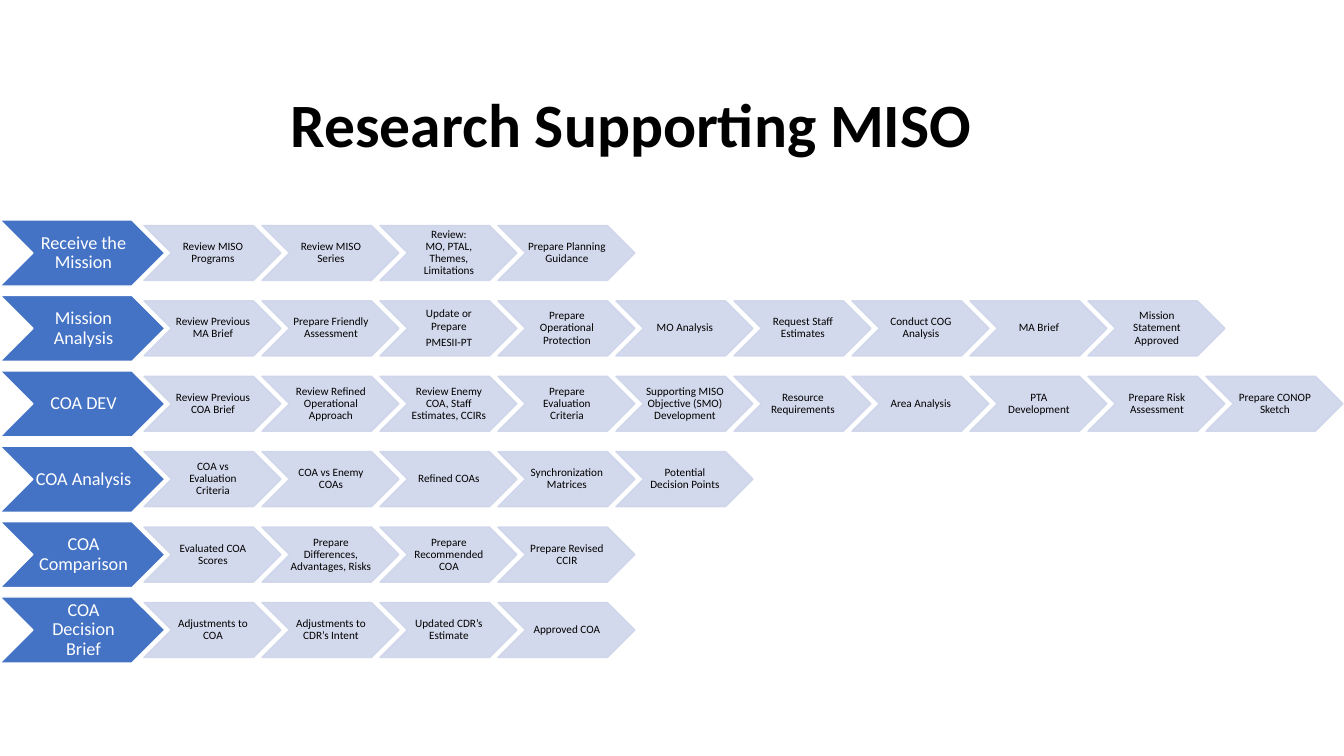
from pptx import Presentation
from pptx.dml.color import RGBColor
from pptx.enum.shapes import MSO_SHAPE
from pptx.enum.text import MSO_ANCHOR, PP_ALIGN
from pptx.oxml.ns import qn
from pptx.util import Emu, Pt

EMU_PER_PX = 914400 / 100.8
FONT = "Calibri"
PHASE_W, PHASE_H = 165, 66
STEP_W, STEP_H = 137, 55
STEP_LEFT, STEP_PITCH = 144, 118

PHASES = [
    ("Receive the Mission", [
        "Review MISO Programs", "Review MISO Series",
        "Review:\vMO, PTAL, Themes, Limitations", "Prepare Planning Guidance"]),
    ("Mission Analysis", [
        "Review Previous MA Brief", "Prepare Friendly Assessment",
        "Update or Prepare\nPMESII-PT", "Prepare Operational Protection",
        "MO Analysis", "Request Staff Estimates", "Conduct COG Analysis",
        "MA Brief", "Mission Statement Approved"]),
    ("COA DEV", [
        "Review Previous COA Brief", "Review Refined Operational Approach",
        "Review Enemy COA, Staff Estimates, CCIRs",
        "Prepare Evaluation Criteria",
        "Supporting MISO Objective (SMO) Development",
        "Resource Requirements", "Area Analysis", "PTA Development",
        "Prepare Risk Assessment", "Prepare CONOP Sketch"]),
    ("COA Analysis", [
        "COA vs Evaluation Criteria", "COA vs Enemy COAs", "Refined COAs",
        "Synchronization Matrices", "Potential Decision Points"]),
    ("COA Comparison", [
        "Evaluated COA Scores", "Prepare Differences, Advantages, Risks",
        "Prepare Recommended COA", "Prepare Revised CCIR"]),
    ("COA Decision Brief", [
        "Adjustments to COA", "Adjustments to CDR’s Intent",
        "Updated CDR’s Estimate", "Approved COA"]),
]


def px(n):
    return Emu(round(n * EMU_PER_PX))


def color(hex_string):
    return RGBColor.from_string(hex_string)


def write(sp, text, size, hex_string, bold=False):
    tf = sp.text_frame
    tf.word_wrap = True
    tf.vertical_anchor = MSO_ANCHOR.MIDDLE
    tf.text = text
    for p in tf.paragraphs:
        p.alignment = PP_ALIGN.CENTER
        p.line_spacing = 0.9
        p.space_after = Pt(size * 0.35)
        for r in p.runs:
            r.font.name = FONT
            r.font.size = Pt(size)
            r.font.bold = bold
            r.font.color.rgb = color(hex_string)


def add_title(s, x, y, w, h):
    sp = s.shapes.add_textbox(px(x), px(y), px(w), px(h))
    write(sp, "Research Supporting MISO", 44, "000000", bold=True)


def add_chevron(s, x, y, w, h, text, size, text_color, fill, line, inset, opacity=100):
    sp = s.shapes.add_shape(MSO_SHAPE.CHEVRON, px(x), px(y), px(w), px(h))
    sp.shadow.inherit = False
    sp.fill.solid()
    sp.fill.fore_color.rgb = color(fill)
    sp.line.color.rgb = color(line)
    sp.line.width = Pt(1)
    if opacity < 100:
        for clr in sp._element.spPr.iter(qn("a:srgbClr")):
            alpha = clr.makeelement(qn("a:alpha"), {"val": str(opacity * 1000)})
            clr.append(alpha)
    tf = sp.text_frame
    tf.margin_left, tf.margin_right = px(inset), px(0)
    tf.margin_top = tf.margin_bottom = px(1)
    write(sp, text, size, text_color)


def add_phase_row(s, x, y, phase, steps):
    add_chevron(s, x, y, PHASE_W, PHASE_H, phase, 13, "FFFFFF",
                "4472C4", "FFFFFF", 2)
    step_y = y + (PHASE_H - STEP_H) / 2
    for i, step in enumerate(steps):
        add_chevron(s, x + STEP_LEFT + i * STEP_PITCH, step_y, STEP_W, STEP_H,
                    step, 8, "000000", "CFD5EA", "CFD5EA", 1, opacity=90)


def add_process(s, x, y, h):
    pitch = (h - PHASE_H) / (len(PHASES) - 1)
    for i, (phase, steps) in enumerate(PHASES):
        add_phase_row(s, x, y + i * pitch, phase, steps)


def main():
    prs = Presentation()
    prs.slide_width, prs.slide_height = px(1344), px(756)
    s = prs.slides.add_slide(prs.slide_layouts[6])
    add_title(s, 52, 55, 1159, 146)
    add_process(s, 0, 220, 443)
    prs.save("out.pptx")


if __name__ == "__main__":
    main()
